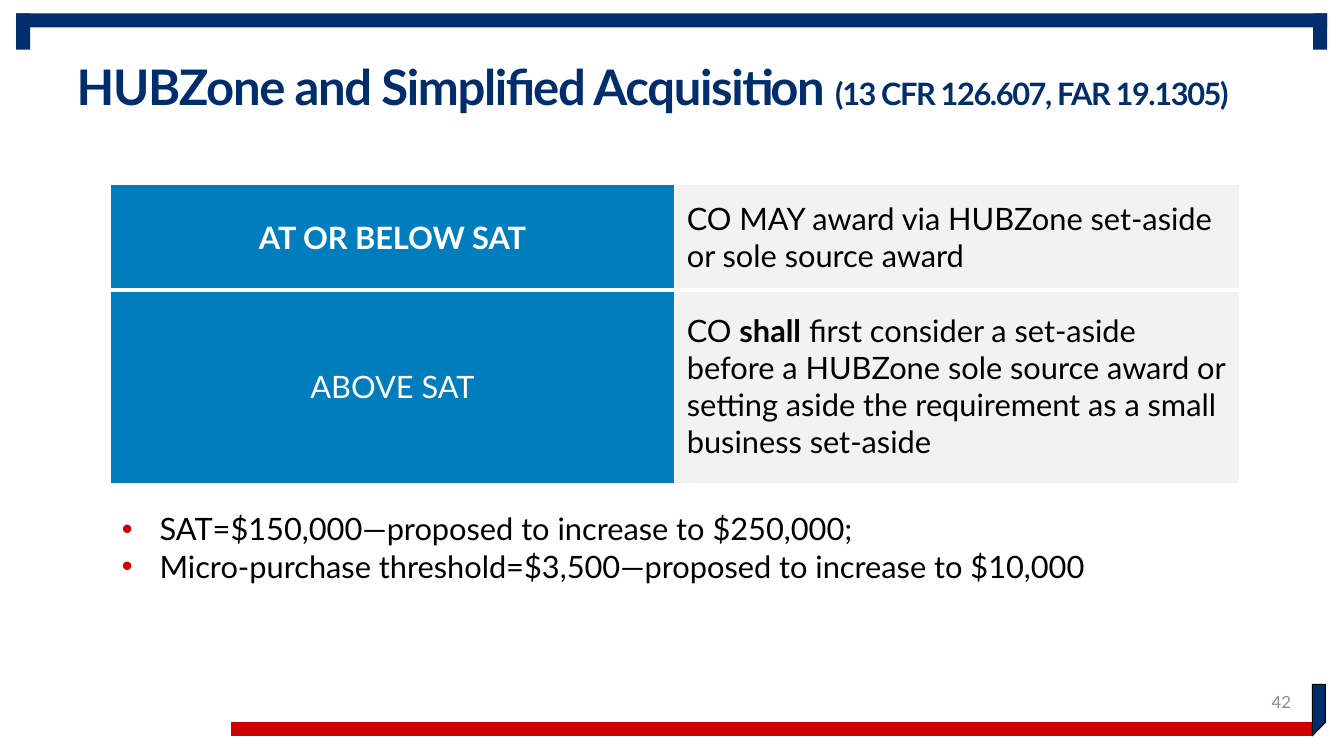
import pptx
import pptx.dml.color
import pptx.enum.shapes
import pptx.enum.text
import pptx.oxml
import pptx.oxml.ns
import pptx.util

Pt = pptx.util.Pt
ALIGN = pptx.enum.text.PP_ALIGN
ANCHOR = pptx.enum.text.MSO_ANCHOR
NAVY, RED, BLUE, GREY, WHITE, BLACK = "002E6D", "CC0000", "007DBC", "F2F2F2", "FFFFFF", "000000"


def paint(item, color):
    """Give a fill or font holder a solid colour."""
    item.solid()
    item.fore_color.rgb = pptx.dml.color.RGBColor.from_string(color)


def parse(xml):
    """Read a fragment in the drawing namespace."""
    head, tail = xml.split(" ", 1)
    return pptx.oxml.parse_xml(f"{head} {pptx.oxml.ns.nsdecls('a')} {tail}")


def write(para, *runs, size=22, color=BLACK, bold=False, align=ALIGN.LEFT, space=None, line=None, before=0):
    """Add runs, each a text or a (text, changes) pair, to a paragraph."""
    para.alignment = align
    para.line_spacing = line
    para.space_before = Pt(before)
    for item in runs:
        text, change = (item, {}) if isinstance(item, str) else item
        run = para.add_run()
        run.text = text
        run.font.name = "Lato"
        run.font.size = Pt(change.get("size", size))
        run.font.bold = change.get("bold", bold)
        paint(run.font.fill, color)
        if space:
            run._r.get_or_add_rPr().set("spc", str(space))


def place(shape, box):
    """Move a shape to a box."""
    shape.left, shape.top, shape.width, shape.height = map(Pt, box)


def block(slide, box, color):
    """Draw a plain filled rectangle."""
    kind = pptx.enum.shapes.MSO_SHAPE.RECTANGLE
    shape = slide.shapes.add_shape(kind, *map(Pt, box))
    shape.shadow.inherit = False
    paint(shape.fill, color)
    shape.line.fill.background()


def outline(slide, points, color, edge=None):
    """Draw a closed filled outline."""
    first, *rest = [(Pt(x), Pt(y)) for x, y in points]
    form = slide.shapes.build_freeform(*first, scale=1.0)
    form.add_line_segments(rest, close=True)
    shape = form.convert_to_shape()
    shape.shadow.inherit = False
    paint(shape.fill, color)
    if edge:
        paint(shape.line.fill, edge)
        shape.line.width = Pt(0)
    else:
        shape.line.fill.background()


def header(slide, box):
    """Draw the top bar with its two end posts."""
    left, top, width, height = box
    thick = 10
    block(slide, (left + width - thick, top, thick, height), NAVY)
    block(slide, (left, top, width, thick), NAVY)
    block(slide, (left, top, thick, height), NAVY)


def footer(slide, box, number):
    """Draw the red base, its navy end and the page number."""
    left, top, width, height = box
    thick, base, bend = 9.7, top + height, left + width - 9.4
    low = base - thick
    outline(slide, [(left, top), (left, base), (bend, base), (bend, low),
                    (left + thick, low), (left + thick, top)], RED)
    outline(slide, [(bend, top), (bend, base), (left + width, low), (left + width, top)], NAVY, BLACK)
    block(slide, (0, top - 4.3, 165, 54.7), WHITE)
    page = slide.shapes.add_textbox(*map(Pt, (bend - 224, top - 2, 216, 29)))
    page.text_frame.word_wrap = True
    page.text_frame.vertical_anchor = ANCHOR.MIDDLE
    write(page.text_frame.paragraphs[0], number, size=12, color="8D8D8E", align=ALIGN.RIGHT)


def title(slide, box):
    """Place and write the title."""
    shape = slide.shapes.title
    place(shape, box)
    frame = shape.text_frame
    frame.auto_size = pptx.enum.text.MSO_AUTO_SIZE.NONE
    frame.vertical_anchor = ANCHOR.TOP
    write(frame.paragraphs[0], "HUBZone and Simplified Acquisition ",
          ("(13 CFR 126.607, FAR 19.1305)", {"size": 22}),
          size=35, color=NAVY, bold=True, space=-100, line=0.9)


def border(cell, **sides):
    """Give a cell white borders of the given widths."""
    props = cell._tc.get_or_add_tcPr()
    for side, width in sides.items():
        props.append(parse(f'<a:ln{side} w="{Pt(width)}"><a:solidFill><a:srgbClr val="{WHITE}"/>'
                           f'</a:solidFill></a:ln{side}>'))


def grid(slide, box, rows, heights):
    """Place the table of thresholds and rules."""
    table = slide.shapes.add_table(len(rows), 2, *map(Pt, box)).table
    table.first_row = table.horz_banding = False
    for col in table.columns:
        col.width = Pt(box[2] / 2)
    for i, (row, height) in enumerate(zip(rows, heights)):
        table.rows[i].height = Pt(height)
        for j, runs in enumerate(row):
            cell = table.cell(i, j)
            border(cell, L=1, R=1, T=3 if i else 1, B=1 if i else 3)
            paint(cell.fill, GREY if j else BLUE)
            cell.vertical_anchor = ANCHOR.MIDDLE
            cell.margin_left = cell.margin_right = Pt(8.64)
            cell.margin_top = cell.margin_bottom = Pt(4.32)
            write(cell.text_frame.paragraphs[0], *runs, color=BLACK if j else WHITE,
                  bold=i + j == 0, align=ALIGN.LEFT if j else ALIGN.CENTER)


def notes(slide, box, lines):
    """Place the bulleted list."""
    frame = slide.shapes.add_textbox(*map(Pt, box)).text_frame
    frame.word_wrap = True
    for i, text in enumerate(lines):
        para = frame.add_paragraph() if i else frame.paragraphs[0]
        write(para, text, line=0.9, before=3)
        props = para._p.get_or_add_pPr()
        props.set("marL", str(Pt(27)))
        props.set("indent", str(-Pt(27)))
        props.append(parse(f'<a:buClr ><a:srgbClr val="{RED}"/></a:buClr>'))
        props.append(parse('<a:buFont typeface="Arial"/>'))
        props.append(parse('<a:buChar char="•"/>'))


def main():
    """Build and save the slide."""
    deck = pptx.Presentation()
    deck.slide_width, deck.slide_height = Pt(960), Pt(540)
    slide = deck.slides.add_slide(deck.slide_layouts[5])
    header(slide, (11.5, 9.5, 936.5, 26))
    footer(slide, (9.4, 488.9, 937.4, 36.7), "42")
    notes(slide, (79.9, 363.6, 738, 82.8), [
        "SAT=$150,000—proposed to increase to $250,000;",
        "Micro-purchase threshold=$3,500—proposed to increase to $10,000"])
    grid(slide, (78.8, 132, 806.4, 213.1), [
        (["AT OR BELOW SAT"], ["CO MAY award via HUBZone set-aside or sole source award"]),
        (["ABOVE SAT"], ["CO ", ("shall", {"bold": True}),
                         " first consider a set-aside before a HUBZone sole source award or "
                         "setting aside the requirement as a small business set-aside"])],
         (74.9, 138.2))
    title(slide, (47.5, 41.8, 887.8, 65.5))
    deck.save("out.pptx")


if __name__ == "__main__":
    main()
